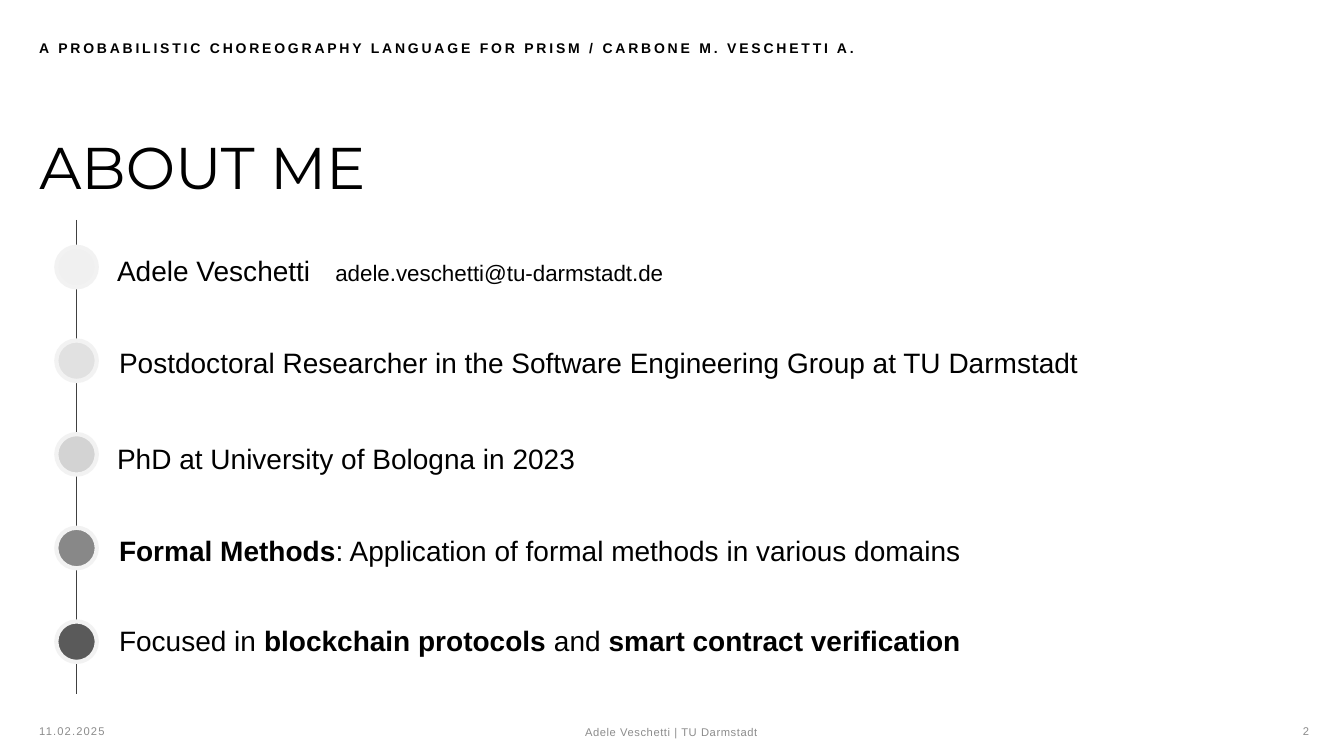
from lxml.etree import SubElement
from pptx import Presentation
from pptx.dml.color import RGBColor
from pptx.enum.shapes import MSO_CONNECTOR as Connector, MSO_SHAPE as Shape
from pptx.enum.text import MSO_ANCHOR as Anchor, MSO_AUTO_SIZE as AutoSize, PP_ALIGN as Align
from pptx.oxml.ns import qn
from pptx.util import Cm, Pt


def color(value):
    return RGBColor.from_string(value)


def write(shape, text, size=20, font="Arial", fill="000000", bold=False, spacing=0,
          align=Align.LEFT, anchor=Anchor.TOP, insets=(0, 0, 0, 0), fit=AutoSize.NONE):
    frame = shape.text_frame
    frame.word_wrap = True
    frame.auto_size = fit
    frame.vertical_anchor = anchor
    frame.margin_left, frame.margin_top, frame.margin_right, frame.margin_bottom = map(Cm, insets)
    paragraph = frame.paragraphs[0]
    paragraph.alignment = align
    for index, part in enumerate(text.split("**")):
        if part:
            run = paragraph.add_run()
            run.text = part
            run.font.name = font
            run.font.size = Pt(size)
            run.font.bold = bold or index % 2 == 1
            run.font.color.rgb = color(fill)
            if spacing:
                run._r.get_or_add_rPr().set("spc", str(round(spacing * 100)))
    return paragraph


presentation = Presentation()
presentation.slide_width = Cm(33.87)
presentation.slide_height = Cm(19.05)
slide = presentation.slides.add_slide(presentation.slide_layouts[5])
shapes = slide.shapes

title = shapes.title
title.left, title.top, title.width, title.height = Cm(0.99), Cm(2.06), Cm(21), Cm(3)
heading = write(title, "ABOUT ME", size=42, font="Montserrat", anchor=Anchor.BOTTOM)
heading.line_spacing = 0.8

header = shapes.add_textbox(Cm(0.99), Cm(0.99), Cm(21), Cm(0.5))
write(header, "A PROBABILISTIC CHOREOGRAPHY LANGUAGE FOR PRISM / CARBONE M. VESCHETTI A.",
      size=10, bold=True, spacing=2)

footers = [
    ("11.02.2025", 0.99, 18.21, 4, Align.LEFT, 0.8, (0, 0.13, 0.25, 0.13)),
    ("Adele Veschetti | TU Darmstadt", 5.92, 18.24, 22, Align.CENTER, 0.4, (0.25, 0.13, 0.25, 0.13)),
    ("2", 28.93, 18.21, 4.06, Align.RIGHT, 0, (0.25, 0.13, 0, 0.13)),
]
for text, left, top, width, align, spacing, insets in footers:
    footer = shapes.add_textbox(Cm(left), Cm(top), Cm(width), Cm(0.5))
    write(footer, text, size=8, fill="8C8C8C", spacing=spacing, align=align,
          anchor=Anchor.BOTTOM, insets=insets)

timeline = shapes.add_connector(Connector.STRAIGHT, Cm(1.93), Cm(5.54), Cm(1.93), Cm(17.5))
timeline.line.color.rgb = color("404040")
timeline.line.width = Pt(0.5)
SubElement(timeline._element.spPr, qn("a:effectLst"))

entries = [
    ("Adele Veschetti", 2.95, 6.38, 17.98, "F0F0F0"),
    ("Postdoctoral Researcher in the Software Engineering Group at TU Darmstadt",
     3, 8.71, 27.41, "E1E1E1"),
    ("PhD at University of Bologna in 2023", 2.95, 11.13, 11.99, "D3D3D3"),
    ("**Formal Methods**: Application of formal methods in various domains",
     3, 13.44, 22.94, "888888"),
    ("Focused in **blockchain protocols** and **smart contract verification**",
     3, 15.72, 22.94, "5A5A5A"),
]
for index, (text, left, top, width, fill) in enumerate(entries):
    marker = shapes.add_shape(Shape.OVAL, Cm(1.42), Cm(6.22 + 2.36 * index), Cm(1.02), Cm(1.02))
    marker.shadow.inherit = False
    marker.fill.solid()
    marker.fill.fore_color.rgb = color(fill)
    marker.line.color.rgb = color("F2F2F2")
    marker.line.width = Pt(3)
    entry = shapes.add_textbox(Cm(left), Cm(top), Cm(width), Cm(0.86))
    paragraph = write(entry, text, fit=AutoSize.SHAPE_TO_FIT_TEXT)
    if index == 0:
        tabs = SubElement(paragraph._p.get_or_add_pPr(), qn("a:tabLst"))
        SubElement(tabs, qn("a:tab"), pos=str(Cm(5.5)), algn="l")
        write(entry, "\tadele.veschetti@tu-darmstadt.de", size=16, anchor=Anchor.MIDDLE,
              fit=AutoSize.SHAPE_TO_FIT_TEXT)

presentation.save("out.pptx")
